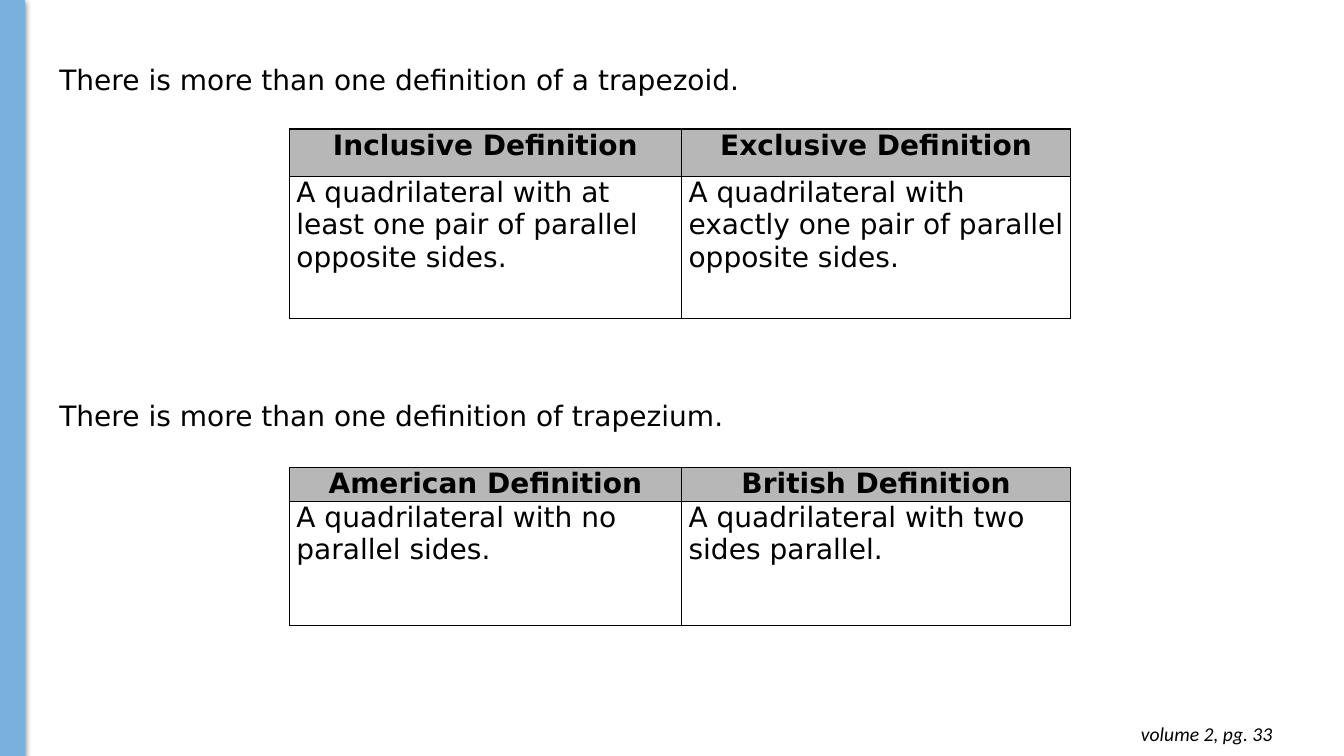
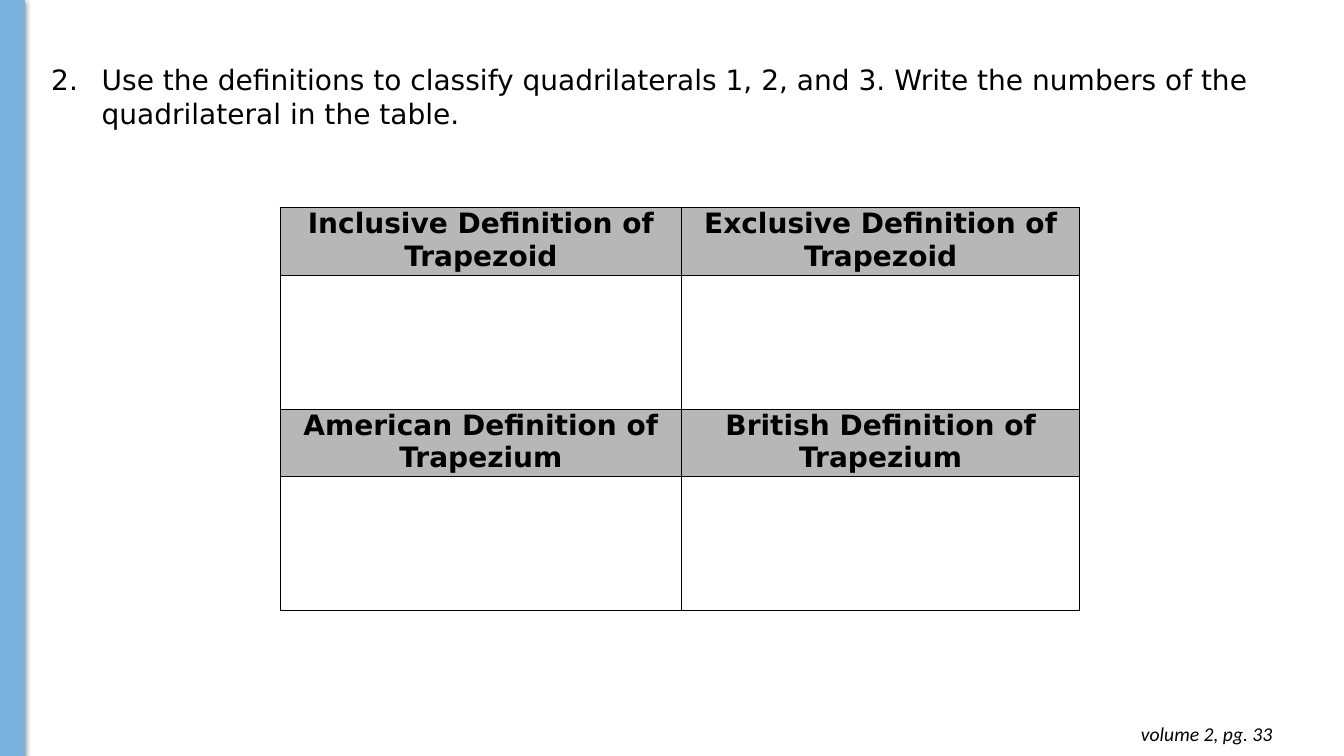
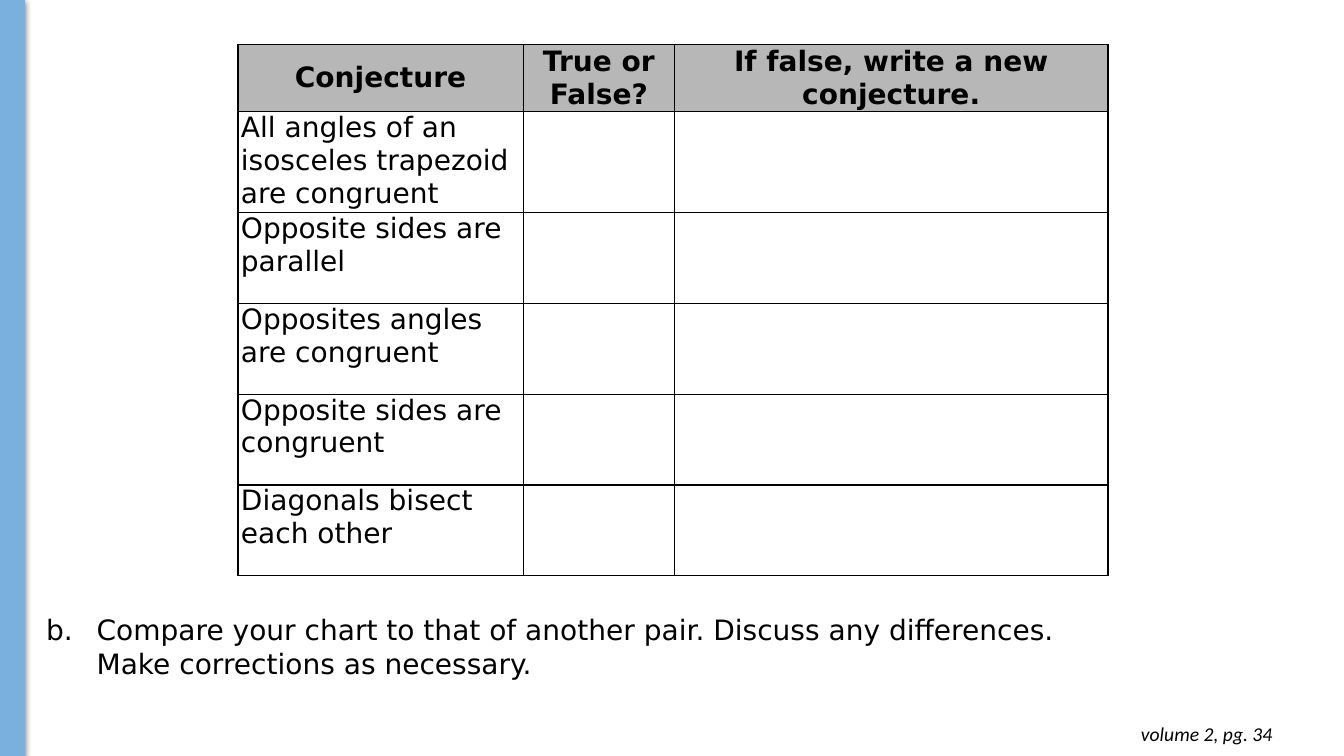
from dataclasses import dataclass

from lxml import etree
from pptx import Presentation
from pptx import util as u
from pptx.dml.color import RGBColor
from pptx.enum import shapes, text
from pptx.oxml import ns


@dataclass(frozen=True)
class Theme:
    ink: str = "000000"
    band: str = "79B0DD"
    header: str = "B7B7B7"
    body_font: str = "DejaVu Sans"
    footer_font: str = "Calibri"
    body_size: int = 20
    footer_size: int = 14


THEME = Theme()
WIDTH, HEIGHT = 13.33, 7.5
BAND_WIDTH = 0.24
BLANK_LAYOUT = 6

SLIDES = [
    {
        "footer": "volume 2, pg. 33",
        "prompts": [
            {"text": "There is more than one definition of a trapezoid.",
             "box": (0.49, 0.57, 10.81, 0.44)},
            {"text": "There is more than one definition of trapezium.",
             "box": (0.49, 3.9, 10.81, 0.44)},
        ],
        "tables": [
            {"at": (2.87, 1.28), "columns": [3.89, 3.86], "rows": [0.47, 1.41],
             "cells": [["Inclusive Definition", "Exclusive Definition"],
                       ["A quadrilateral with at least one pair of parallel opposite sides.",
                        "A quadrilateral with exactly one pair of parallel opposite sides."]]},
            {"at": (2.87, 4.64), "columns": [3.89, 3.86], "rows": [0.33, 1.23],
             "cells": [["American Definition", "British Definition"],
                       ["A quadrilateral with no parallel sides.",
                        "A quadrilateral with two sides parallel."]]},
        ],
    },
    {
        "footer": "volume 2, pg. 33",
        "prompts": [
            {"text": "Use the definitions to classify quadrilaterals 1, 2, and 3. "
                     "Write the numbers of the quadrilateral in the table.",
             "box": (0.41, 0.57, 12.49, 0.77), "numbering": "arabicPeriod"},
        ],
        "tables": [
            {"at": (2.78, 2.06), "columns": [3.98, 3.95], "rows": [0.67, 1.33] * 2,
             "header_rows": (0, 2),
             "cells": [["Inclusive Definition of Trapezoid", "Exclusive Definition of Trapezoid"],
                       ["", ""],
                       ["American Definition of Trapezium", "British Definition of Trapezium"],
                       ["", ""]]},
        ],
    },
    {
        "footer": "volume 2, pg. 34",
        "prompts": [
            {"text": "Compare your chart to that of another pair. Discuss any differences. "
                     "Make corrections as necessary.",
             "box": (0.36, 6.03, 10.99, 0.77), "numbering": "alphaLcPeriod"},
        ],
        "tables": [
            {"at": (2.36, 0.44), "columns": [2.83, 1.5, 4.3],
             "rows": [0.67, 1.0] + [0.9] * 4, "side_margin": 0.03,
             "header_anchor": text.MSO_ANCHOR.MIDDLE,
             "cells": [["Conjecture", "True or False?", "If false, write a new conjecture."]]
             + [[conjecture, "", ""] for conjecture in (
                 "All angles of an isosceles trapezoid are congruent",
                 "Opposite sides are parallel",
                 "Opposites angles are congruent",
                 "Opposite sides are congruent",
                 "Diagonals bisect each other")]},
        ],
    },
]


def add_xml(parent, tag, **attributes):
    element = etree.SubElement(parent, ns.qn(tag))
    for name, value in attributes.items():
        element.set(name, str(value))
    return element


def add_color(parent, color):
    return add_xml(parent, "a:srgbClr", val=color)


def write(frame, content, font=THEME.body_font, size=THEME.body_size, bold=False,
          italic=False, align=text.PP_ALIGN.LEFT, numbering=None):
    """Fill a text frame with one paragraph; a numbered one starts at 2."""
    frame.word_wrap = True
    paragraph = frame.paragraphs[0]
    paragraph.alignment = align
    if numbering:
        properties = paragraph._p.get_or_add_pPr()
        indent = u.Inches(0.5)
        properties.set("marL", str(indent))
        properties.set("indent", str(-indent))
        add_color(add_xml(properties, "a:buClr"), THEME.ink)
        add_xml(properties, "a:buAutoNum", type=numbering, startAt=2)
    run = paragraph.add_run()
    run.text = content
    run.font.name = font
    run.font.size = u.Pt(size)
    run.font.bold = bold
    run.font.italic = italic
    run.font.color.rgb = RGBColor.from_string(THEME.ink)


def add_text(slide, content, box, margin=None, **style):
    frame = slide.shapes.add_textbox(*map(u.Inches, box)).text_frame
    if margin is not None:
        frame.margin_left = frame.margin_right = u.Inches(margin)
        frame.margin_top = frame.margin_bottom = u.Inches(margin)
    write(frame, content, **style)


def add_band(slide):
    band = slide.shapes.add_shape(shapes.MSO_SHAPE.RECTANGLE, 0, 0,
                                  u.Inches(BAND_WIDTH), u.Inches(HEIGHT))
    color = RGBColor.from_string(THEME.band)
    band.fill.solid()
    band.fill.fore_color.rgb = color
    band.line.color.rgb = color
    band.line.width = u.Pt(0.75)
    band.shadow.inherit = False
    effects = band._element.spPr.find(ns.qn("a:effectLst"))
    shadow = add_xml(effects, "a:outerShdw", blurRad=u.Pt(4.5), dist=u.Pt(1.5),
                     dir=90 * 60000, algn="bl", rotWithShape=0)
    add_xml(add_color(shadow, "000000"), "a:alpha", val=50000)


def add_borders(cell):
    properties = cell._tc.get_or_add_tcPr()
    for side in "LRTB":
        line = add_xml(properties, f"a:ln{side}", w=u.Pt(1))
        add_color(add_xml(line, "a:solidFill"), THEME.ink)


def add_table(slide, at, columns, rows, cells, header_rows=(0,), side_margin=0.07,
              header_anchor=text.MSO_ANCHOR.TOP):
    size = (sum(columns), sum(rows))
    table = slide.shapes.add_table(len(rows), len(columns),
                                   *map(u.Inches, at + size)).table
    table.first_row = table.horz_banding = False
    for column, width in zip(table.columns, columns):
        column.width = u.Inches(width)
    for index, (row, height, contents) in enumerate(zip(table.rows, rows, cells)):
        row.height = u.Inches(height)
        is_header = index in header_rows
        for cell, content in zip(row.cells, contents):
            cell.margin_left = cell.margin_right = u.Inches(side_margin)
            cell.margin_top = cell.margin_bottom = 0
            add_borders(cell)
            if is_header:
                cell.fill.solid()
                cell.fill.fore_color.rgb = RGBColor.from_string(THEME.header)
                cell.vertical_anchor = header_anchor
            else:
                cell.fill.background()
            if content:
                align = text.PP_ALIGN.CENTER if is_header else text.PP_ALIGN.LEFT
                write(cell.text_frame, content, bold=is_header, align=align)


def main():
    presentation = Presentation()
    presentation.slide_width = u.Inches(WIDTH)
    presentation.slide_height = u.Inches(HEIGHT)
    for content in SLIDES:
        slide = presentation.slides.add_slide(presentation.slide_layouts[BLANK_LAYOUT])
        add_band(slide)
        add_text(slide, content["footer"], (9.84, 7.06, 2.88, 0.44), margin=0.1,
                 font=THEME.footer_font, size=THEME.footer_size, italic=True,
                 align=text.PP_ALIGN.RIGHT)
        for prompt in content["prompts"]:
            add_text(slide, prompt["text"], prompt["box"],
                     numbering=prompt.get("numbering"))
        for table in content["tables"]:
            add_table(slide, **table)
    presentation.save("out.pptx")


if __name__ == "__main__":
    main()
